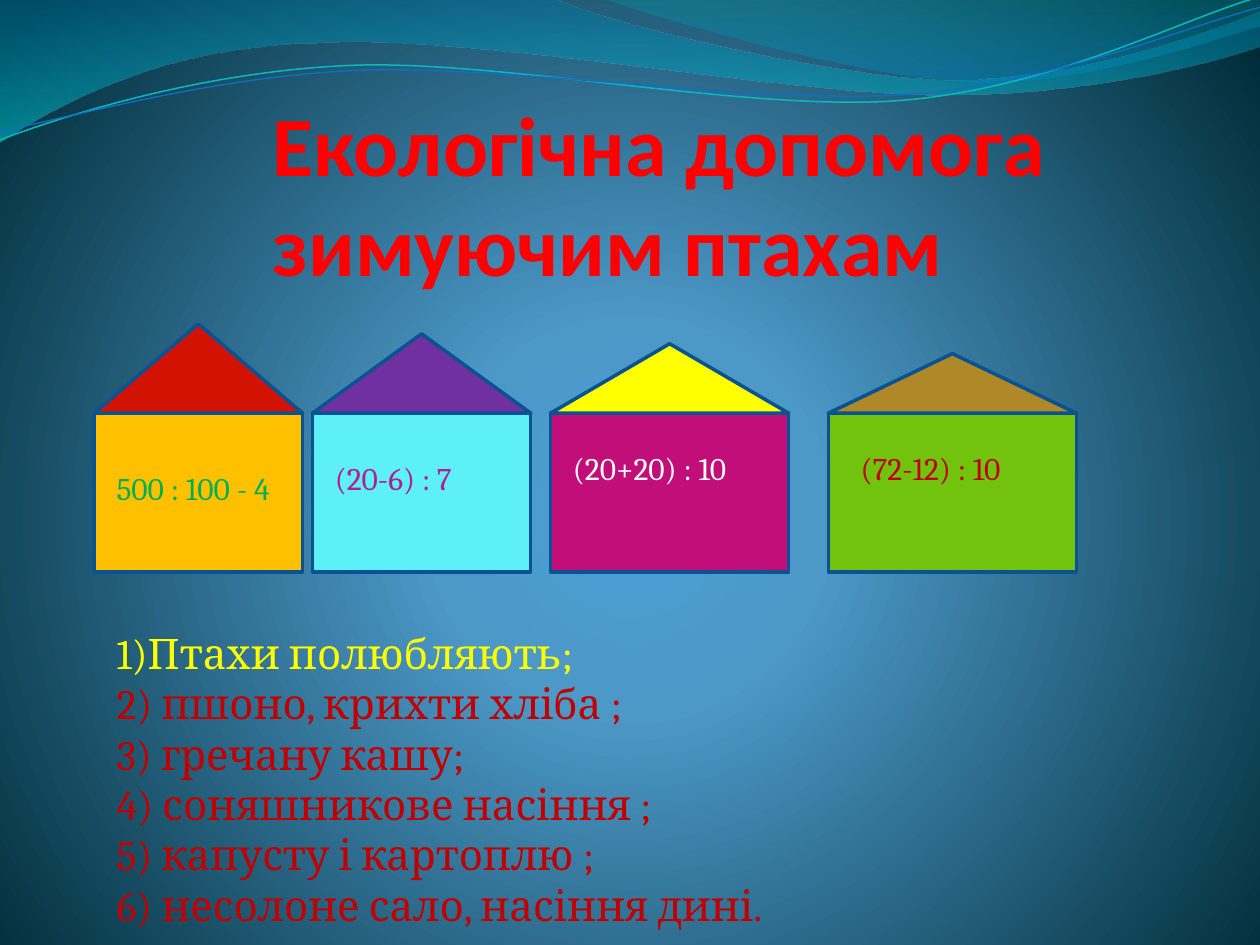
from lxml import etree
from pptx import Presentation
from pptx import util as u
from pptx.dml.color import RGBColor
from pptx.enum import shapes, text
from pptx.oxml import ns

KIND = shapes.MSO_SHAPE
EDGE = "0B5292"
WARM = "C00000"

BANDS = [
    ([(0, -0.03), (11.18, -0.03),
      (12.09, 0.43, 16.87, 1.6, 19.25, 1.6),
      (21.67, 1.6, 24.33, 0.66, 25.4, 0.23),
      (25.43, 0.91),
      (24.97, 1.12, 22.1, 1.93, 18.95, 1.91),
      (15.8, 1.91, 9.7, 0.71, 6.53, 0.86),
      (3.28, 0.89, 1.17, 2.11, -0.03, 2.87)],
     [(0, "0074A1", 45), (100, "00C6CF", 55)]),
    ([(12.17, -0.03),
      (12.93, 0.28, 17.32, 1.57, 19.53, 1.65),
      (21.74, 1.75, 24.41, 0.81, 25.4, 0.53),
      (25.4, 0)],
     [(0, "00A1A9", 30), (80, "008BBF", 45)]),
]
WAVES = [
    ([(0, 2.82),
      (1.22, 2.36, 4.01, 1.45, 7.04, 1.32),
      (10.03, 1.19, 15.06, 2.26, 18.11, 2.03),
      (21.16, 1.8, 23.83, 0.38, 25.35, -0.05)], "0AB8BF", 0.85),
    ([(0, 2.64),
      (1.19, 2.44, 4.17, 1.55, 7.19, 1.42),
      (10.26, 1.3, 15.16, 2.11, 18.21, 1.91),
      (21.23, 1.7, 23.9, 0.53, 25.4, 0.15)], "0F6FC6", 0.75),
]
HOMES = [
    (1.9, 4.2, 1.8, "D21304", "FFC000", "500 : 100 - 4", "00B050", 0.2, 1),
    (6.3, 4.4, 1.6, "7030A0", "5EF0F7", "(20-6) : 7", "AF2191", 0.2, 0.8),
    (11.1, 4.8, 1.4, "FFFF00", "C20E79", "(20+20) : 10", "FFFFFF", 0.2, 0.6),
    (16.7, 5, 1.2, "AF8827", "71C30D", "(72-12) : 10", WARM, 0.4, 0.6),
]
FOODS = [
    ("1)Птахи полюбляють;", "FFFF00"),
    ("2) пшоно, крихти хліба ;", WARM),
    ("3) гречану кашу;", WARM),
    ("4) соняшникове насіння ;", WARM),
    ("5) капусту і картоплю ;", WARM),
    ("6) несолоне сало, насіння дині.", WARM),
]


def tint(code):
    return RGBColor.from_string(code)


def blend(root, stops, focus=None):
    grad = etree.Element(ns.qn("a:gradFill"), rotWithShape="1")
    row = etree.SubElement(grad, ns.qn("a:gsLst"))
    for pos, code, alpha in stops:
        stop = etree.SubElement(row, ns.qn("a:gs"), pos=str(pos * 1000))
        hue = etree.SubElement(stop, ns.qn("a:srgbClr"), val=code)
        if alpha < 100:
            etree.SubElement(hue, ns.qn("a:alpha"), val=str(alpha * 1000))
    if focus:
        ring = etree.SubElement(grad, ns.qn("a:path"), path="circle")
        rect = etree.SubElement(ring, ns.qn("a:fillToRect"))
        for side, part in zip("ltrb", focus):
            rect.set(side, str(part * 1000))
    else:
        etree.SubElement(grad, ns.qn("a:lin"), ang="5400000", scaled="1")
    old = root.find(".//" + ns.qn("a:solidFill"))
    old.getparent().replace(old, grad)


def curve(slide, x, y, steps, close):
    spots = [[(u.Cm(x + s[i]), u.Cm(y + s[i + 1])) for i in range(0, len(s), 2)]
             for s in steps]
    pen = slide.shapes.build_freeform(*spots[0][0], scale=1.0)
    pen.add_line_segments([p for s in spots[1:] for p in s], close=close)
    form = pen.convert_to_shape()
    form.shadow.inherit = False
    lines = iter(form.element.findall(".//" + ns.qn("a:lnTo")))
    for spot in spots[1:]:
        group = [next(lines) for _ in spot]
        if len(group) == 3:
            bend = etree.Element(ns.qn("a:cubicBezTo"))
            group[0].addprevious(bend)
            for line in group:
                bend.append(line[0])
                line.getparent().remove(line)
    return form


def write(slide, box, rows, size=18, face="Cambria", bold=False, pad=None,
          anchor=text.MSO_ANCHOR.TOP):
    frame = slide.shapes.add_textbox(*map(u.Cm, box)).text_frame
    frame.word_wrap = True
    frame.vertical_anchor = anchor
    if pad is not None:
        frame.margin_left = frame.margin_right = u.Cm(pad)
        frame.margin_top = frame.margin_bottom = u.Cm(pad)
    for i, (words, code) in enumerate(rows):
        para = frame.add_paragraph() if i else frame.paragraphs[0]
        run = para.add_run()
        run.text = words
        run.font.size = u.Pt(size)
        run.font.name = face
        run.font.bold = bold
        run.font.color.rgb = tint(code)


def block(slide, kind, box, code):
    form = slide.shapes.add_shape(kind, *map(u.Cm, box))
    form.shadow.inherit = False
    form.fill.solid()
    form.fill.fore_color.rgb = tint(code)
    form.line.color.rgb = tint(EDGE)
    form.line.width = u.Pt(2)


def sky(slide, x, y):
    slide.background.fill.solid()
    blend(slide.element, [(0, "4AA0D6", 100), (25, "4C98C7", 100),
                          (100, "002C38", 100)], (10, 110, 10, 100))
    for steps, stops in BANDS:
        band = curve(slide, x, y, steps, True)
        band.fill.solid()
        blend(band.element, stops)
        band.line.fill.background()
    for steps, code, width in WAVES:
        wave = curve(slide, x, y, steps, False)
        wave.fill.background()
        wave.line.color.rgb = tint(code)
        wave.line.width = u.Pt(width)


def house(slide, x, y, wide, tall, rise, roof, wall, sum_, ink, dx, dy):
    block(slide, KIND.RECTANGLE, (x, y, wide, tall), wall)
    block(slide, KIND.ISOSCELES_TRIANGLE, (x, y - rise, wide, rise), roof)
    write(slide, (x + dx, y + dy, wide - dx - 0.2, 1), [(sum_, ink)])


def street(slide, y, tall):
    for x, wide, *rest in HOMES:
        house(slide, x, y, wide, tall, *rest)


def main():
    deck = Presentation()
    deck.slide_width, deck.slide_height = u.Cm(25.4), u.Cm(19.05)
    slide = deck.slides.add_slide(deck.slide_layouts[6])
    sky(slide, 0, 0)
    write(slide, (5.5, 1.52, 18.6, 4.4),
          [("Екологічна допомога зимуючим птахам", "FF0000")],
          size=48, face="Calibri", bold=True, pad=0,
          anchor=text.MSO_ANCHOR.BOTTOM)
    street(slide, 8.33, 3.2)
    write(slide, (2.1, 12.52, 20.4, 6.5), FOODS, size=24)
    deck.save("out.pptx")


if __name__ == "__main__":
    main()
